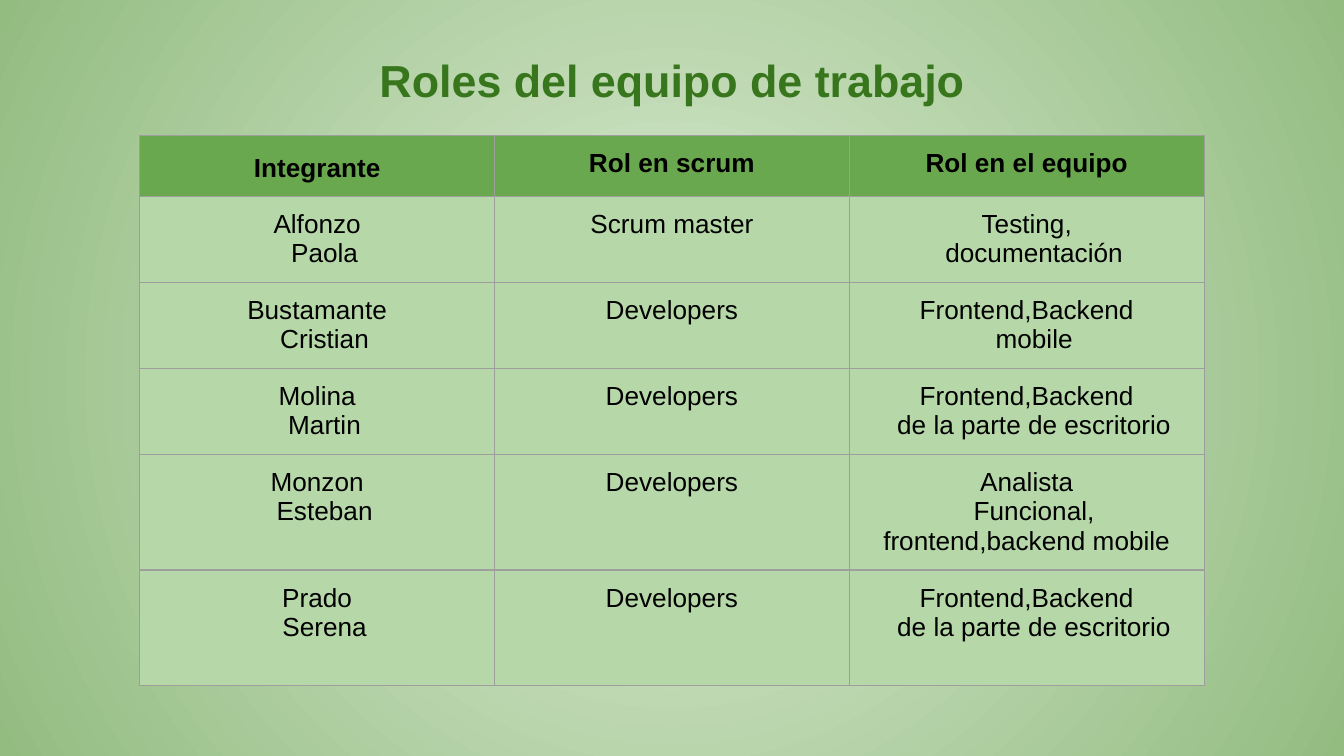
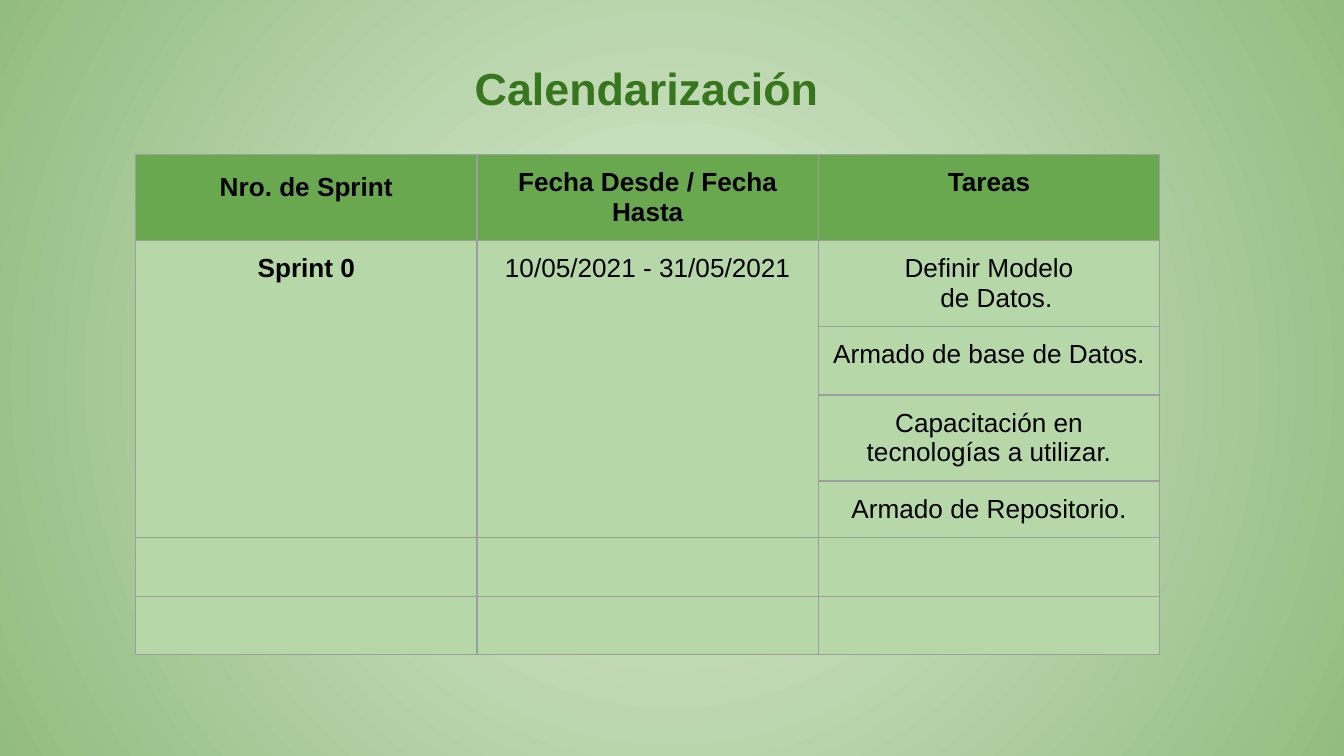
"""Builds the team roles and sprint calendar slides."""
from lxml import etree
from pptx import Presentation
from pptx.dml.color import RGBColor
from pptx.enum.text import MSO_ANCHOR, MSO_AUTO_SIZE, PP_ALIGN
from pptx.oxml.ns import qn
from pptx.util import Inches, Pt

CENTER = PP_ALIGN.CENTER
BOTTOM = MSO_ANCHOR.BOTTOM
FIXED = MSO_AUTO_SIZE.NONE
FONT = "Arial"
BLACK = RGBColor(0x00, 0x00, 0x00)
TITLE = RGBColor(0x38, 0x76, 0x1D)
HEAD = RGBColor(0x6A, 0xA8, 0x4F)
BODY = RGBColor(0xB6, 0xD7, 0xA8)
INNER = RGBColor(0xDC, 0xEC, 0xD5)
OUTER = RGBColor(0x93, 0xBC, 0x81)
GRID = RGBColor(0x9E, 0x9E, 0x9E)
RULE = RGBColor(0x99, 0x99, 0x99)
PAD = Inches(0.1)
INDENT = Inches(0.11)

ROLES = [
    ("Integrante", "Rol en scrum", "Rol en el equipo"),
    ("Alfonzo\nPaola", "Scrum master", "Testing,\ndocumentación"),
    ("Bustamante\nCristian", "Developers", "Frontend,Backend\nmobile"),
    ("Molina\nMartin", "Developers", "Frontend,Backend\nde la parte de escritorio"),
    ("Monzon\nEsteban", "Developers", "Analista\nFuncional, frontend,backend mobile"),
    ("Prado\nSerena", "Developers", "Frontend,Backend\nde la parte de escritorio"),
]
DATES = [
    ("Nro. de Sprint", "Fecha Desde / Fecha Hasta", "Tareas"),
    ("Sprint 0", "10/05/2021 - 31/05/2021", "Definir Modelo\nde Datos."),
    ("", "", "Armado de base de Datos."),
    ("", "", "Capacitación en tecnologías a utilizar."),
    ("", "", "Armado de Repositorio."),
    ("", "", ""),
    ("", "", ""),
]
SLIDES = [
    ("Roles del equipo de trabajo", (0, 0, 10, 1.27), 0.48, (1.04, 1.01), 2.64,
     (0.44, 0.64, 0.64, 0.64, 0.86, 0.86), ROLES, None),
    ("Calendarización", (0.34, 0.21, 8.94, 0.74), 0.1, (1.01, 1.15), 2.54,
     (0.64, 0.64, 0.51, 0.64, 0.42, 0.42, 0.42), DATES, (1, 4)),
]


def write(para, text, size, hue, bold):
    para.alignment = CENTER
    run = para.add_run()
    run.text = text
    run.font.name = FONT
    run.font.size = Pt(size)
    run.font.bold = bold
    run.font.color.rgb = hue


def border(cell, heavy):
    props = cell._tc.get_or_add_tcPr()
    for side in "LRTB":
        hue, width = (RULE, 1) if side == heavy else (GRID, 0.75)
        line = etree.SubElement(props, qn("a:ln" + side), w=str(Pt(width)))
        fill = etree.SubElement(line, qn("a:solidFill"))
        etree.SubElement(fill, qn("a:srgbClr"), val=str(hue))


prs = Presentation()
prs.slide_width = Inches(10)
prs.slide_height = Inches(10) * 9 // 16

master = prs.slide_master
back = master.background.fill
back.gradient()
for stop, hue in zip(back.gradient_stops, (INNER, OUTER)):
    stop.color.rgb = hue
grad = next(master.element.iter(qn("a:gradFill")))
grad.remove(grad.find(qn("a:lin")))
ring = etree.SubElement(grad, qn("a:path"), path="circle")
etree.SubElement(ring, qn("a:fillToRect"), l="50000", t="50000", r="50000", b="50000")

for name, box, low, spot, wide, highs, rows, span in SLIDES:
    slide = prs.slides.add_slide(prs.slide_layouts[5])
    title = slide.shapes.title
    title.left, title.top, title.width, title.height = map(Inches, box)
    frame = title.text_frame
    frame.auto_size = FIXED
    frame.word_wrap = True
    frame.vertical_anchor = BOTTOM
    frame.margin_left = frame.margin_right = frame.margin_top = PAD
    frame.margin_bottom = Inches(low)
    write(frame.paragraphs[0], name, 24, TITLE, True)

    count = len(rows[0])
    left, top = map(Inches, spot)
    table = slide.shapes.add_table(
        len(rows), count, left, top, Inches(wide * count), Inches(sum(highs))).table
    table.first_row = False
    table.horz_banding = False
    for col in table.columns:
        col.width = Inches(wide)
    for row, high in zip(table.rows, highs):
        row.height = Inches(high)

    for r, row in enumerate(rows):
        for c, text in enumerate(row):
            cell = table.cell(r, c)
            heavy = None
            if span and c < 2:
                heavy = {span[0]: "B", span[1]: "B", span[1] + 1: "T"}.get(r)
            border(cell, heavy)
            cell.fill.solid()
            cell.fill.fore_color.rgb = BODY if r else HEAD
            cell.margin_left = cell.margin_right = PAD
            cell.margin_top = cell.margin_bottom = PAD
            body = cell.text_frame
            if not text:
                etree.SubElement(body.paragraphs[0]._p, qn("a:endParaRPr"), sz="1400")
                continue
            for n, part in enumerate(text.split("\n")):
                para = body.add_paragraph() if n else body.paragraphs[0]
                write(para, part, 14, BLACK, r == 0 or text == "Sprint 0")
                if n:
                    para._p.get_or_add_pPr().set("indent", str(INDENT))
    table.cell(0, 0).text_frame.paragraphs[0].line_spacing = 1.15

    if span:
        for c in range(2):
            table.cell(span[0], c).merge(table.cell(span[1], c))

prs.save("out.pptx")
